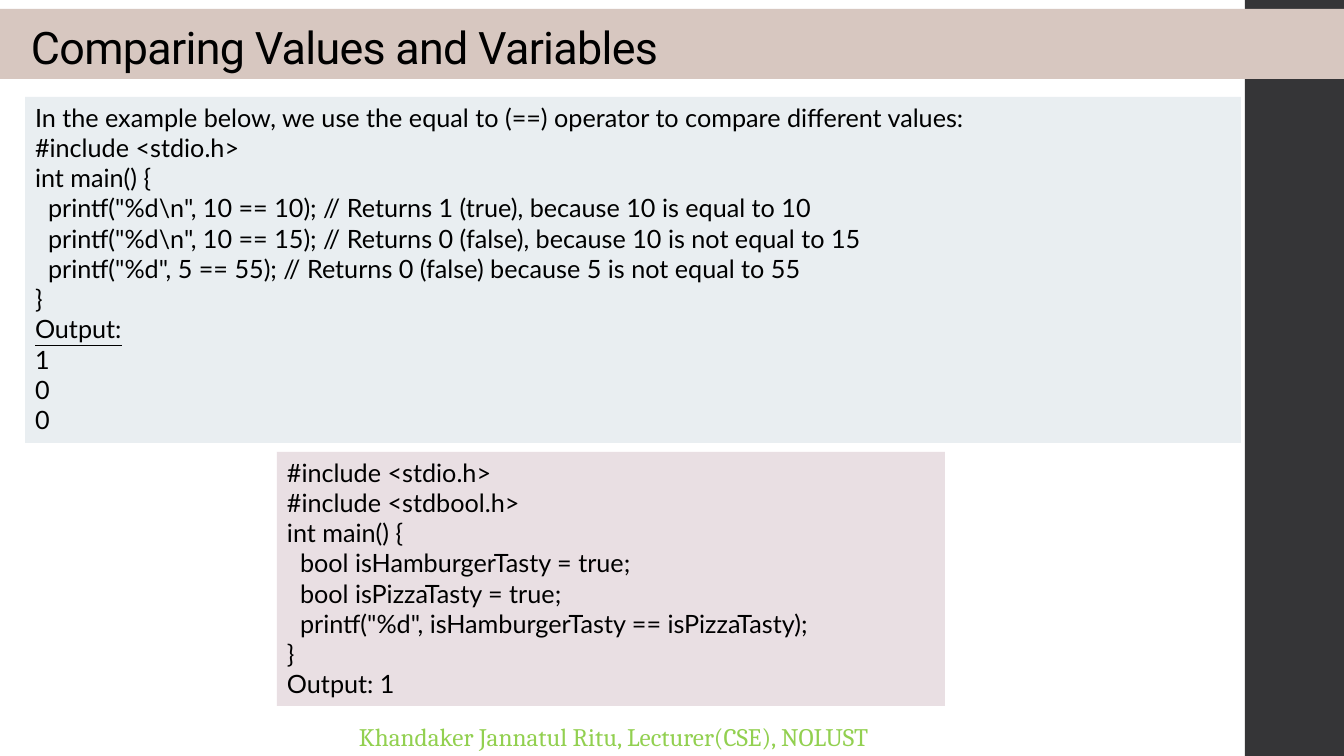
import pptx
import pptx.util
import pptx.dml.color
import pptx.enum.shapes
import pptx.enum.text

SLIDE_W, SLIDE_H = 1344, 756
EMU_PER_PX = 914400 / 100.8
CODE_INDENT = 13

COMPARE_VALUES = [
    "In the example below, we use the equal to (==) operator to compare different values:",
    "#include <stdio.h>",
    "int main() {",
    "\tprintf(\"%d\\n\", 10 == 10); // Returns 1 (true), because 10 is equal to 10",
    "\tprintf(\"%d\\n\", 10 == 15); // Returns 0 (false), because 10 is not equal to 15",
    "\tprintf(\"%d\", 5 == 55); // Returns 0 (false) because 5 is not equal to 55",
    "}",
    "Output:",
    "1",
    "0",
    "0",
]
COMPARE_VARIABLES = [
    "#include <stdio.h>",
    "#include <stdbool.h>",
    "int main() {",
    "\tbool isHamburgerTasty = true;",
    "\tbool isPizzaTasty = true;",
    "\tprintf(\"%d\", isHamburgerTasty == isPizzaTasty);",
    "}",
    "Output: 1",
]


def px(n):
    """Turn pixels into EMU."""
    return pptx.util.Emu(round(n * EMU_PER_PX))


def rgb(color):
    """Turn a hex string into a colour."""
    return pptx.dml.color.RGBColor.from_string(color)


def add_panel(s, box, fill):
    """Add a plain filled rectangle."""
    sp = s.shapes.add_shape(pptx.enum.shapes.MSO_SHAPE.RECTANGLE, *map(px, box))
    sp.shadow.inherit = False
    sp.fill.solid()
    sp.fill.fore_color.rgb = rgb(fill)
    sp.line.fill.background()
    return sp


def set_frame(tf, anchor, left=10):
    """Set the wrapping, anchor and insets of a text frame."""
    tf.word_wrap = True
    tf.vertical_anchor = anchor
    tf.margin_left, tf.margin_right = px(left), px(10)
    tf.margin_top = tf.margin_bottom = px(5)


def add_run(p, text, font, size, color="000000"):
    """Add one styled run to a paragraph."""
    r = p.add_run()
    r.text = text
    r.font.name = font
    r.font.size = pptx.util.Pt(size)
    r.font.color.rgb = rgb(color)
    return r


def add_title(s, box, text):
    """Add the title band."""
    tf = add_panel(s, box, "D7C7C0").text_frame
    set_frame(tf, pptx.enum.text.MSO_ANCHOR.BOTTOM, left=31)
    p = tf.paragraphs[0]
    p.alignment = pptx.enum.text.PP_ALIGN.JUSTIFY
    p.line_spacing = 0.9
    r = add_run(p, text, "Roboto", 32)
    r.font._element.set("spc", "-50")


def add_code(s, box, fill, lines):
    """Add a code panel, where a leading tab marks an indented line."""
    tf = add_panel(s, box, fill).text_frame
    set_frame(tf, pptx.enum.text.MSO_ANCHOR.TOP)
    for i, line in enumerate(lines):
        p = tf.add_paragraph() if i else tf.paragraphs[0]
        p.alignment = pptx.enum.text.PP_ALIGN.LEFT
        if line.startswith("\t"):
            p._p.get_or_add_pPr().set("marL", str(px(CODE_INDENT)))
        r = add_run(p, line.lstrip("\t"), "Lato", 18)
        if line == "Output:":
            r.font.underline = True


def add_footer(s, box, text):
    """Add the lecturer line."""
    tf = s.shapes.add_textbox(*map(px, box)).text_frame
    set_frame(tf, pptx.enum.text.MSO_ANCHOR.TOP)
    add_run(tf.paragraphs[0], text, "Cambria", 18, "92D050")


def main():
    """Build and save the slide."""
    prs = pptx.Presentation()
    prs.slide_width, prs.slide_height = px(SLIDE_W), px(SLIDE_H)
    s = prs.slides.add_slide(prs.slide_layouts[6])
    add_panel(s, (1245, 0, SLIDE_W - 1245, SLIDE_H), "353537")
    add_footer(s, (349, 716, 747, 40), "Khandaker Jannatul Ritu, Lecturer(CSE), NOLUST")
    add_code(s, (25, 97, 1216, 346), "E9EEF1", COMPARE_VALUES)
    add_code(s, (277, 452, 668, 254), "E9DFE3", COMPARE_VARIABLES)
    add_title(s, (0, 9, SLIDE_W, 70), "Comparing Values and Variables")
    prs.save("out.pptx")


if __name__ == "__main__":
    main()
